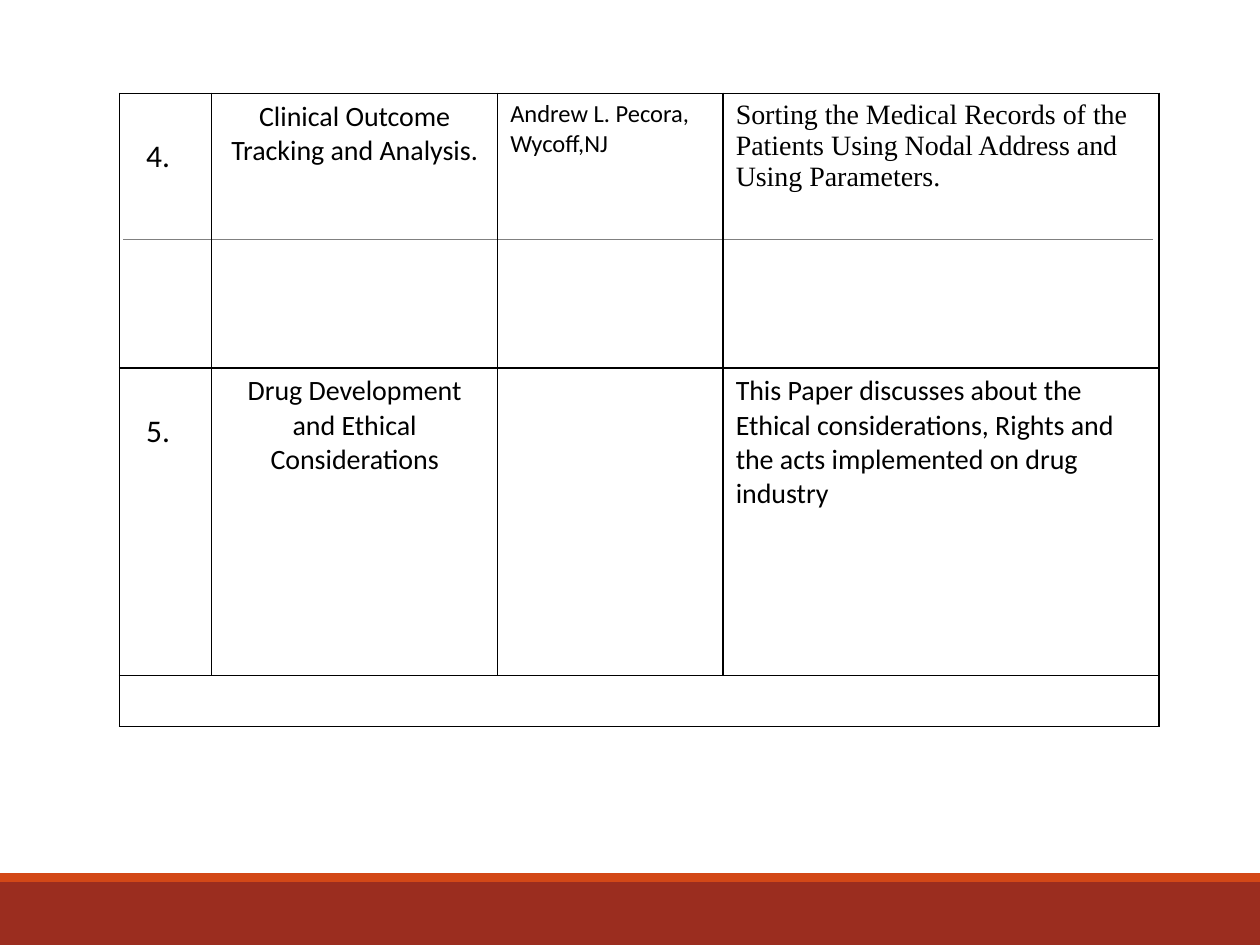
"""Builds a slide with a literature table above a two-tone footer band."""
from lxml.etree import SubElement
from pptx import Presentation
from pptx.dml.color import RGBColor
from pptx.enum.shapes import MSO_CONNECTOR, MSO_SHAPE
from pptx.enum.text import PP_ALIGN
from pptx.oxml import parse_xml
from pptx.oxml.ns import nsdecls, qn
from pptx.util import Inches, Pt


def rgb(value):
    return RGBColor.from_string(value)


def add_borders(cell):
    properties = cell._tc.get_or_add_tcPr()
    for position, side in enumerate(("lnL", "lnR", "lnT", "lnB")):
        properties.insert(position, parse_xml(
            f'<a:{side} {nsdecls("a")} w="12700"><a:solidFill>'
            f'<a:srgbClr val="000000"/></a:solidFill></a:{side}>'))


prs = Presentation()
prs.slide_width, prs.slide_height = Inches(10), Inches(7.5)
slide = prs.slides.add_slide(prs.slide_layouts[6])

for top, height, color in ((7, 0.5, "9B2D1F"), (6.93, 0.07, "D34817")):
    band = slide.shapes.add_shape(
        MSO_SHAPE.RECTANGLE, 0, Inches(top), Inches(10), Inches(height))
    band.shadow.inherit = False
    band.fill.solid()
    band.fill.fore_color.rgb = rgb(color)
    band.line.fill.background()

divider = slide.shapes.add_connector(
    MSO_CONNECTOR.STRAIGHT, Inches(0.98), Inches(1.9), Inches(9.15), Inches(1.9))
divider.line.color.rgb = rgb("808080")
divider.line.width = Pt(0.5)
SubElement(divider._element.spPr, qn("a:effectLst"))

widths = (0.73, 2.27, 1.79, 3.46)
heights = (2.18, 2.44, 0.4)
papers = (
    (("4.", 18, "Calibri"),
     ("Clinical Outcome Tracking and Analysis.", 16, "Calibri"),
     ("Andrew L. Pecora,\nWycoff,NJ", 14, "Calibri"),
     ("Sorting the Medical Records of the Patients Using Nodal Address "
      "and Using Parameters.", 16, "Times New Roman")),
    (("5.", 18, "Calibri"),
     ("Drug Development and Ethical Considerations", 16, "Calibri"),
     ("", 14, "Calibri"),
     ("This Paper discusses about the Ethical considerations, Rights and "
      "the acts implemented on drug industry", 16, "Calibri")),
)

table = slide.shapes.add_table(
    len(heights), len(widths), Inches(0.95), Inches(0.74),
    Inches(sum(widths)), Inches(sum(heights))).table
table.first_row = table.horz_banding = False
for column, width in zip(table.columns, widths):
    column.width = Inches(width)
for row, height in zip(table.rows, heights):
    row.height = Inches(height)
table.cell(2, 0).merge(table.cell(2, 3))

for cell in table.iter_cells():
    cell.fill.background()
    add_borders(cell)

for row, paper in enumerate(papers):
    for col, (words, size, face) in enumerate(paper):
        cell = table.cell(row, col)
        cell.text = words
        for paragraph in cell.text_frame.paragraphs:
            paragraph.font.size = Pt(size)
            paragraph.font.name = face
            paragraph.font.color.rgb = rgb("000000")
            if col == 1:
                paragraph.alignment = PP_ALIGN.CENTER
    number = table.cell(row, 0)
    number.margin_left = Inches(0.21)
    number.margin_top = Inches(0.35)

prs.save("out.pptx")
